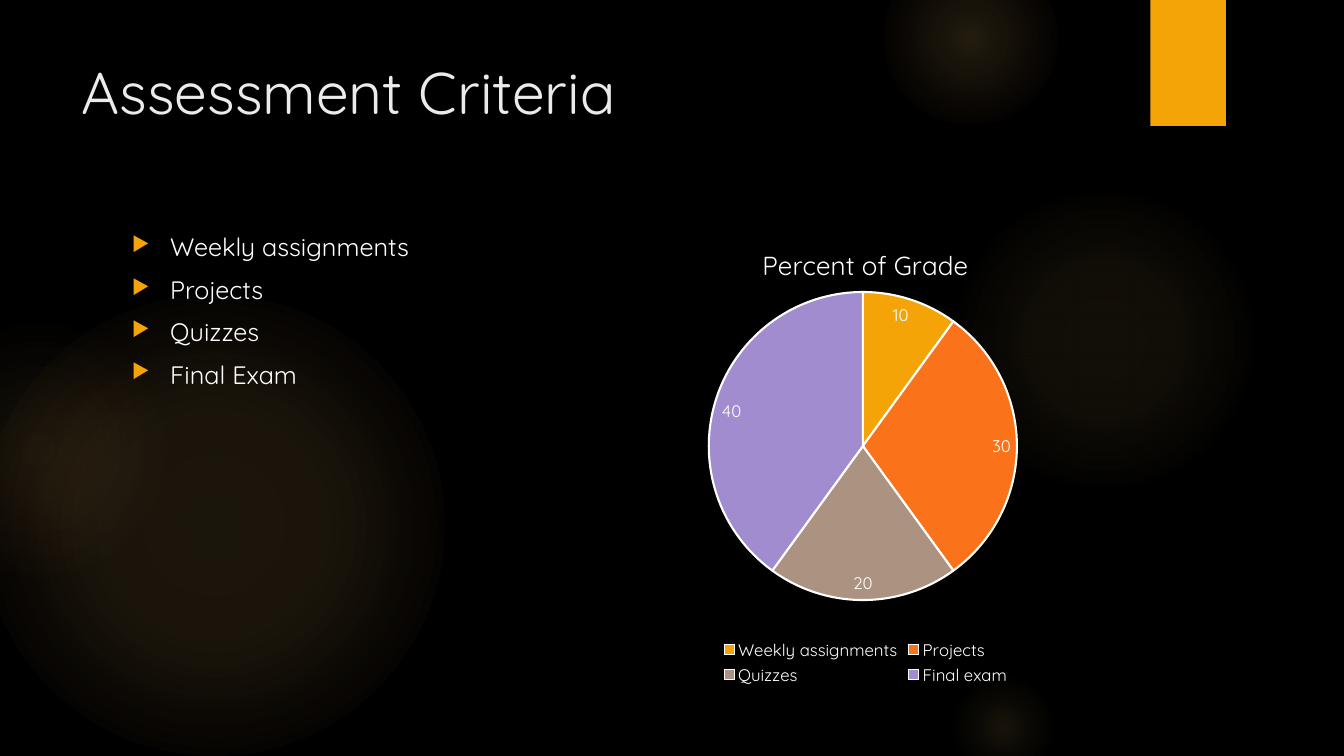
import dataclasses

import pptx
import pptx.chart.data
import pptx.dml.color
import pptx.enum.chart
import pptx.enum.shapes
import pptx.oxml
import pptx.oxml.ns
import pptx.util

Inches = pptx.util.Inches
Pt = pptx.util.Pt
FONT = "Quicksand"
WHITE, AMBER, GLOW = "FFFFFF", "F5A408", "FAC96A"


@dataclasses.dataclass
class Glow:
    left: float
    top: float
    size: float
    stops: list[tuple[int, int]]  # position and opacity, in percent
    edge: str = GLOW


@dataclasses.dataclass
class Slice:
    label: str
    percent: int
    color: str


GLOWS = [
    Glow(-0.17, 2.92, 4.58, [(0, 11), (36, 10), (75, 0)]),
    Glow(-0.92, 3.17, 2.58, [(0, 8), (36, 5), (71, 0)], "F59B74"),
    Glow(9.41, 1.83, 3.08, [(0, 7), (36, 6), (69, 0)]),
    Glow(8.75, -0.5, 1.75, [(0, 14), (36, 7), (73, 0)]),
    Glow(9.41, 6.67, 1.08, [(0, 10), (31, 5), (66, 0)]),
]
SLICES = [
    Slice("Weekly assignments", 10, AMBER),
    Slice("Projects", 30, "FA731A"),
    Slice("Quizzes", 20, "AB9281"),
    Slice("Final exam", 40, "A18CD0"),
]
CRITERIA = ["Weekly assignments", "Projects", "Quizzes", "Final Exam"]


def rgb(color: str):
    return pptx.dml.color.RGBColor.from_string(color)


def element(tag: str, content: str = "", attributes: str = ""):
    """Build one XML element in the drawing or chart namespace."""
    spaces = pptx.oxml.ns.nsdecls("a", "c")
    return pptx.oxml.parse_xml(f"<{tag} {spaces} {attributes}>{content}</{tag}>")


def style_font(font, size: float, color: str = WHITE) -> None:
    font.name = FONT
    font.size = Pt(size)
    font.bold = False
    font.color.rgb = rgb(color)


def add_plain_shape(page, kind, left: float, top: float, width: float, height: float):
    shape = page.shapes.add_shape(
        kind, Inches(left), Inches(top), Inches(width), Inches(height))
    shape.shadow.inherit = False
    shape.line.fill.background()
    return shape


def add_glow(page, glow: Glow) -> None:
    oval = pptx.enum.shapes.MSO_SHAPE.OVAL
    shape = add_plain_shape(page, oval, glow.left, glow.top, glow.size, glow.size)
    shape.fill.background()
    stops = ""
    for position, opacity in glow.stops:
        color = GLOW if opacity else glow.edge
        stops += (f'<a:gs pos="{position * 1000}"><a:srgbClr val="{color}">'
                  f'<a:alpha val="{opacity * 1000}"/></a:srgbClr></a:gs>')
    gradient = element(
        "a:gradFill",
        f'<a:gsLst>{stops}</a:gsLst><a:path path="circle">'
        '<a:fillToRect l="50000" t="50000" r="50000" b="50000"/></a:path>')
    properties = shape.element.spPr
    properties.replace(properties.find(pptx.oxml.ns.qn("a:noFill")), gradient)


def add_tab(page) -> None:
    rectangle = pptx.enum.shapes.MSO_SHAPE.RECTANGLE
    tab = add_plain_shape(page, rectangle, 11.41, 0, 0.75, 1.25)
    tab.fill.solid()
    tab.fill.fore_color.rgb = rgb(AMBER)
    effects = tab.element.spPr.find(pptx.oxml.ns.qn("a:effectLst"))
    effects.append(element(
        "a:outerShdw",
        '<a:srgbClr val="000000"><a:alpha val="45000"/></a:srgbClr>',
        f'blurRad="{Pt(3)}" dist="{Pt(2)}" dir="5400000" rotWithShape="0"'))


def add_text(page, left: float, top: float, width: float, height: float,
             text: str, size: float, color: str):
    box = page.shapes.add_textbox(
        Inches(left), Inches(top), Inches(width), Inches(height))
    box.text_frame.word_wrap = True
    box.text_frame.text = text
    for para in box.text_frame.paragraphs:
        for span in para.runs:
            style_font(span.font, size, color)
    return box


def add_bullets(box) -> None:
    for para in box.text_frame.paragraphs:
        para.space_before = Pt(2.7)
        para.space_after = Pt(6)
        properties = para._p.get_or_add_pPr()
        properties.set("marL", str(Inches(0.38)))
        properties.set("indent", str(-Inches(0.38)))
        properties.append(element("a:buClr", f'<a:srgbClr val="{AMBER}"/>'))
        properties.append(element("a:buSzPct", attributes='val="80000"'))
        properties.append(element("a:buChar", attributes='char="▶"'))


def add_grade_chart(page) -> None:
    data = pptx.chart.data.CategoryChartData()
    data.categories = [part.label for part in SLICES]
    data.add_series("Percent of Grade", [part.percent for part in SLICES])
    chart = page.shapes.add_chart(
        pptx.enum.chart.XL_CHART_TYPE.PIE, Inches(6.18), Inches(2.25),
        Inches(4.81), Inches(4.59), data).chart
    style_font(chart.font, 10)

    # Title and legend
    chart.has_title = True
    chart.chart_title.text_frame.text = "Percent of Grade"
    style_font(chart.chart_title.text_frame.paragraphs[0].runs[0].font, 18.6)
    chart.has_legend = True
    chart.legend.position = pptx.enum.chart.XL_LEGEND_POSITION.BOTTOM
    chart.legend.include_in_layout = False
    style_font(chart.legend.font, 12)

    # Slices and their values
    plot = chart.plots[0]
    plot.vary_by_categories = True
    for index, part in enumerate(SLICES):
        style = plot.series[0].points[index].format
        style.fill.solid()
        style.fill.fore_color.rgb = rgb(part.color)
        style.line.color.rgb = rgb(WHITE)
        style.line.width = Pt(1.5)
    labels = plot.series[0].data_labels
    labels.show_value = True
    labels.position = pptx.enum.chart.XL_LABEL_POSITION.INSIDE_END
    style_font(labels.font, 12)

    # Place of the pie within the chart
    place = '<c:layoutTarget val="inner"/><c:xMode val="edge"/><c:yMode val="edge"/>'
    for side, share in zip("xywh", (0.176, 0.141, 0.637, 0.666)):
        place += f'<c:{side} val="{share}"/>'
    area = chart._chartSpace.chart.plotArea
    for layout in area.findall(pptx.oxml.ns.qn("c:layout")):
        area.remove(layout)
    area.insert(0, element("c:layout", f"<c:manualLayout>{place}</c:manualLayout>"))


def main() -> None:
    deck = pptx.Presentation()
    deck.slide_width, deck.slide_height = Inches(13.33), Inches(7.5)
    page = deck.slides.add_slide(deck.slide_layouts[6])

    # Backdrop
    page.background.fill.solid()
    page.background.fill.fore_color.rgb = rgb("000000")
    for glow in GLOWS:
        add_glow(page, glow)
    add_tab(page)

    # Content
    add_text(page, 0.71, 0.5, 10.29, 1.53, "Assessment Criteria", 42, "EBEBEB")
    add_bullets(add_text(page, 1.21, 2.25, 4.81, 4.59, "\n".join(CRITERIA), 18, WHITE))
    add_grade_chart(page)
    deck.save("out.pptx")


if __name__ == "__main__":
    main()
